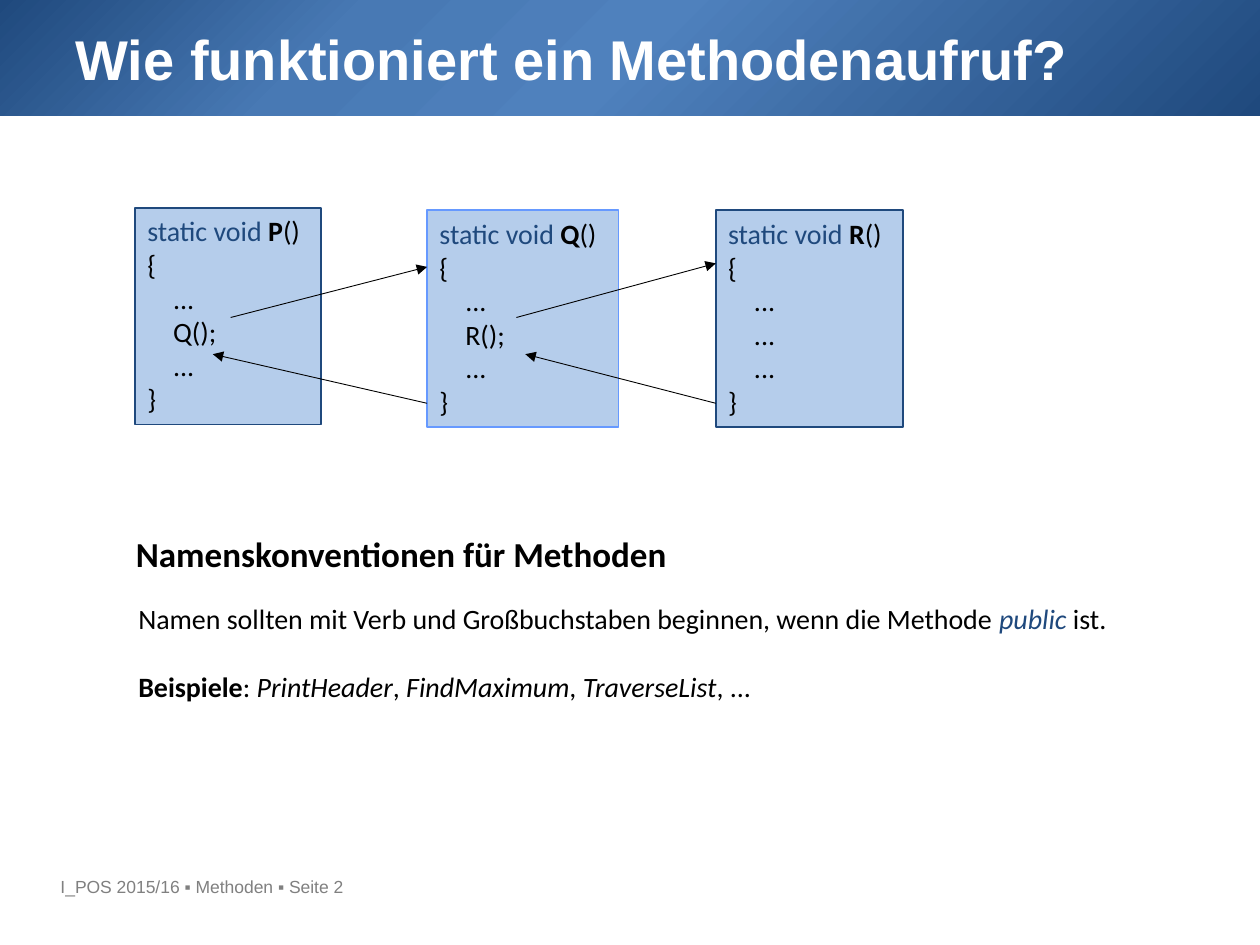
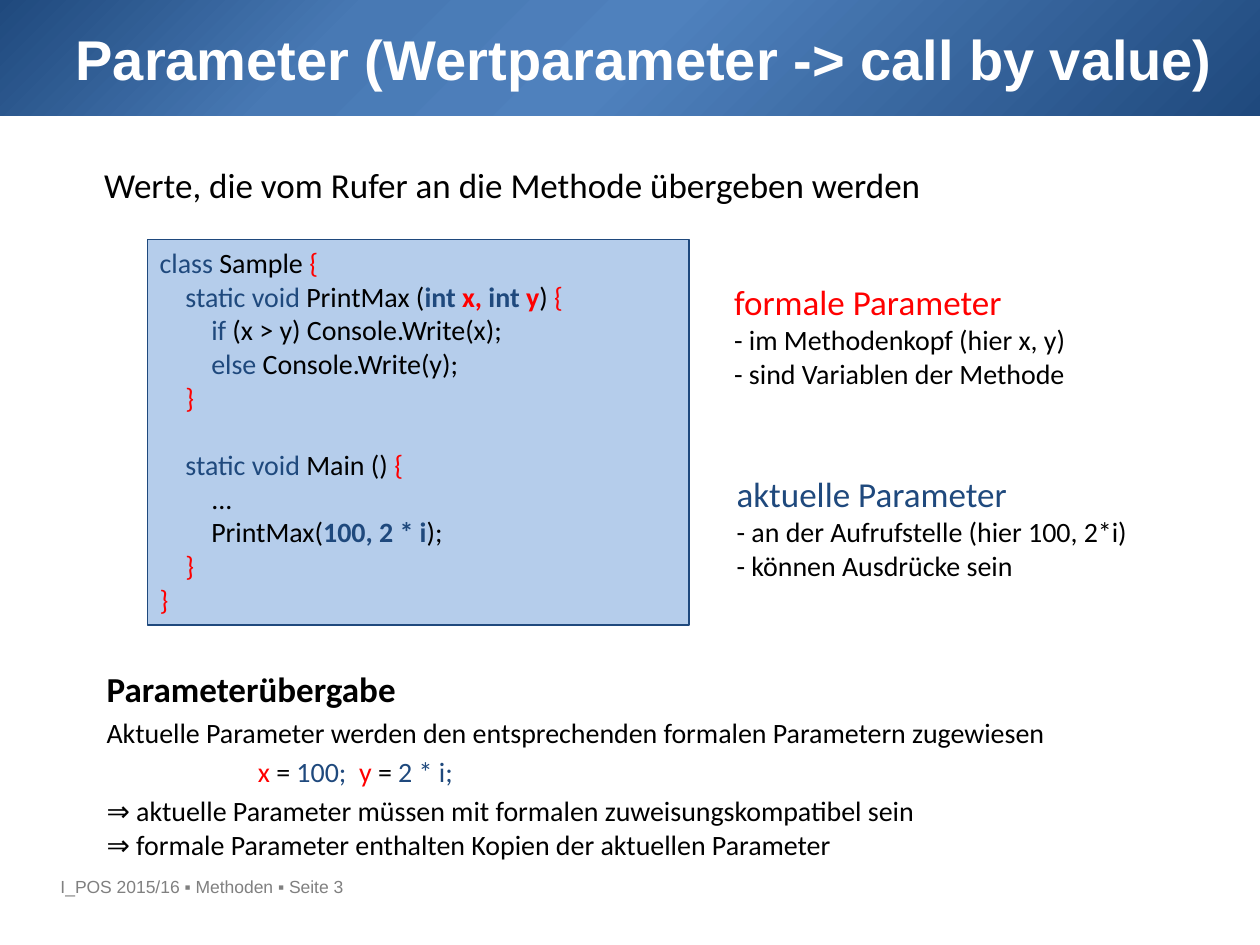
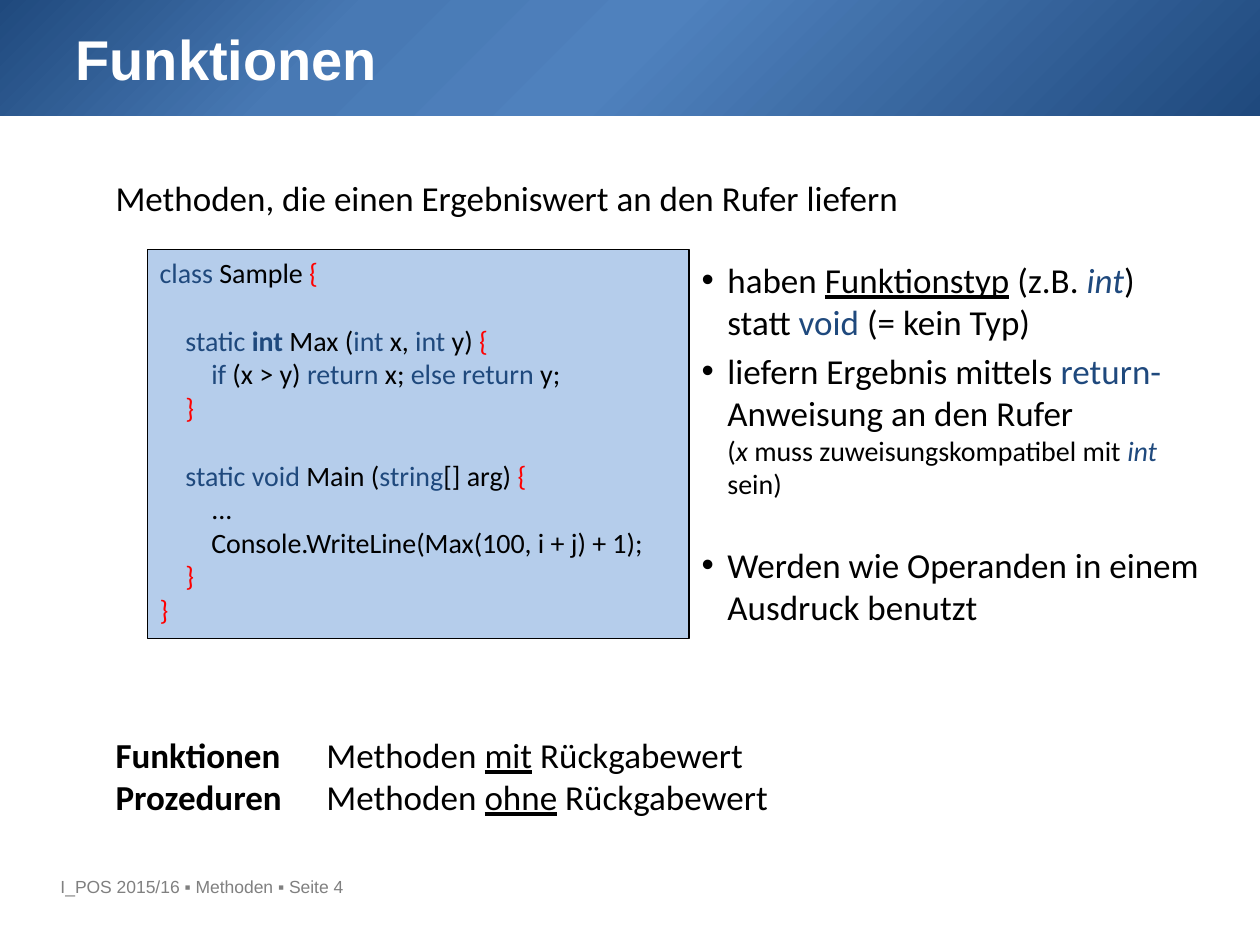
from copy import deepcopy

from lxml.etree import SubElement
from pptx import Presentation
from pptx.dml.color import RGBColor
from pptx.enum.shapes import MSO_CONNECTOR, MSO_SHAPE
from pptx.enum.text import MSO_ANCHOR, MSO_AUTO_SIZE, PP_ALIGN
from pptx.oxml.ns import qn
from pptx.util import Cm, Pt

# Shared colours and formats
BLUE = RGBColor(0x1F, 0x49, 0x7D)
LIGHT_BLUE = RGBColor(0xB5, 0xCD, 0xEB)
BRIGHT_BLUE = RGBColor(0x66, 0x99, 0xFF)
RED = RGBColor(0xFF, 0x00, 0x00)
BLACK = RGBColor(0x00, 0x00, 0x00)
WHITE = RGBColor(0xFF, 0xFF, 0xFF)
GREY = RGBColor(0x80, 0x80, 0x80)
BAND_STOPS = [(0, "1F497D"), (27, "4879B4"), (50, "4F81BD"), (100, "1F497D")]

# One letter per run format: k = keyword, r = red, L = large, ...
FLAGS = {
    "k": {"color": BLUE}, "r": {"color": RED},
    "w": {"color": WHITE}, "g": {"color": GREY},
    "b": {"bold": True}, "i": {"italic": True}, "u": {"underline": True},
    "L": {"size": Pt(20)},
}
CODE_TABS = (0.52, 1.04)
CODE_LINE = 19.5


def write(tf, paras, size=16, font="Calibri", tabs=(), gaps={}):
    """Fill a text frame; each paragraph is a list of (text, flags) runs."""
    tf.word_wrap = True
    tf.auto_size = MSO_AUTO_SIZE.NONE
    tf.vertical_anchor = MSO_ANCHOR.TOP
    for n, runs in enumerate(paras):
        p = tf.paragraphs[0] if n == 0 else tf.add_paragraph()
        if tabs:
            tab_list = SubElement(p._p.get_or_add_pPr(), qn("a:tabLst"))
            for pos in tabs:
                SubElement(tab_list, qn("a:tab"), pos=str(Cm(pos)), algn="l")
        p.alignment = PP_ALIGN.LEFT
        p.space_before = Pt(gaps.get(n, 0))
        for text, flags in runs:
            fmt = {"name": font, "size": Pt(size), "color": BLACK,
                   "bold": False, "italic": False, "underline": False}
            for flag in flags:
                fmt.update(FLAGS[flag])
            color = fmt.pop("color")
            for i, part in enumerate(text.split("\n")):
                if i:
                    p.add_line_break()
                if not part:
                    continue
                r = p.add_run()
                r.text = part
                for key, value in fmt.items():
                    setattr(r.font, key, value)
                r.font.color.rgb = color
                if i:
                    r._r.getprevious().append(deepcopy(r._r.rPr))


def box(s, x, y, w, h, line=None, width=1):
    """Add a text box, or a code panel if a line colour is given."""
    at = Cm(x), Cm(y), Cm(w), Cm(h)
    if line is None:
        return s.shapes.add_textbox(*at).text_frame
    sp = s.shapes.add_shape(MSO_SHAPE.RECTANGLE, *at)
    sp.shadow.inherit = False
    sp.fill.solid()
    sp.fill.fore_color.rgb = LIGHT_BLUE
    sp.line.color.rgb = line
    sp.line.width = Pt(width)
    return sp.text_frame


prs = Presentation()
prs.slide_width, prs.slide_height = Cm(25.4), Cm(19.05)
TITLE_AND_BODY, TITLE_ONLY = prs.slide_layouts[1], prs.slide_layouts[5]

# Band, title and footer of every slide
slides = []
for number, (title, layout, title_width) in enumerate([
    ("Wie funktioniert ein Methodenaufruf?", TITLE_ONLY, 22.86),
    ("Parameter (Wertparameter -> call by value)", TITLE_ONLY, 23.62),
    ("Funktionen", TITLE_AND_BODY, 22.86),
], start=2):
    s = prs.slides.add_slide(layout)
    slides.append(s)

    band = s.shapes.add_shape(MSO_SHAPE.RECTANGLE, 0, 0, prs.slide_width, Cm(2.34))
    band.shadow.inherit = False
    band.line.fill.background()
    band.fill.gradient()
    band.fill.gradient_angle = 315
    stops = band._element.spPr.find(qn("a:gradFill")).find(qn("a:gsLst"))
    for stop in list(stops):
        stops.remove(stop)
    for pos, color in BAND_STOPS:
        stop = SubElement(stops, qn("a:gs"), pos=str(pos * 1000))
        SubElement(stop, qn("a:srgbClr"), val=color)
    s.shapes._spTree.insert(2, band._element)

    sp = s.shapes.title
    sp.left, sp.top, sp.width, sp.height = Cm(1.27), Cm(0.36), Cm(title_width), Cm(3.18)
    write(sp.text_frame, [[(title, "wb")]], size=32, font="Arial")

    write(box(s, 0.97, 17.53, 9.52, 0.84),
          [[(f"I_POS 2015/16 ▪ Methoden ▪ Seite {number}", "g")]],
          size=10, font="Arial")

call_slide, param_slide, func_slide = slides

# Slide: method call, three methods calling each other
s = call_slide
for name, call, x, y, w, line in [
    ("P", "Q();", 2.72, 4.19, 3.76, BLUE),
    ("Q", "R();", 8.61, 4.24, 3.86, BRIGHT_BLUE),
    ("R", "...", 14.43, 4.24, 3.78, BLUE),
]:
    body = [[("\t" + text, "")] for text in ("...", call, "...")]
    write(box(s, x, y, w, 4.37, line),
          [[("static void ", "k"), (name, "b"), ("()", "")],
           [("{", "")], *body, [("}", "")]],
          tabs=CODE_TABS)

# Call and return arrows
for x1, y1, x2, y2 in [
    (4.65, 6.4, 8.61, 5.38), (8.61, 8.13, 4.29, 7.14),
    (10.41, 6.4, 14.43, 5.31), (14.43, 8.13, 10.59, 7.14),
]:
    arrow = s.shapes.add_connector(MSO_CONNECTOR.STRAIGHT, Cm(x1), Cm(y1), Cm(x2), Cm(y2))
    arrow.line.color.rgb = BLACK
    arrow.line.width = Pt(0.5)
    SubElement(arrow.line._get_or_add_ln(), qn("a:tailEnd"), type="triangle")
    SubElement(arrow._element.spPr, qn("a:effectLst"))

# Naming conventions
write(box(s, 2.49, 10.62, 11.3, 1.12), [[("Namenskonventionen für Methoden", "Lb")]])
write(box(s, 2.54, 12.01, 20.12, 2.31), [
    [("Namen sollten mit Verb und Großbuchstaben beginnen, wenn die Methode ", ""),
     ("public", "ki"), (" ist.", "")],
    [("Beispiele", "b"), (": ", ""), ("PrintHeader", "i"), (", ", ""),
     ("FindMaximum", "i"), (", ", ""), ("TraverseList", "i"), (", ...", "")],
], gaps={1: CODE_LINE})

# Slide: parameters
s = param_slide
write(box(s, 1.85, 3.18, 19.3, 1.09),
      [[("Werte, die vom Rufer an die Methode übergeben werden", "L")]])
write(box(s, 2.97, 4.83, 10.92, 7.77, BLUE, 0.75), [
    [("class ", "k"), ("Sample ", ""), ("{", "r")],
    [("\t", ""), ("static void ", "k"), ("PrintMax (", ""), ("int", "kb"),
     (" x, ", "rb"), ("int", "kb"), (" y", "rb"), (") ", ""), ("{", "r")],
    [("\t\t", ""), ("if", "k"), (" (x > y) Console.Write(x);", "")],
    [("\t\t", ""), ("else ", "k"), ("Console.Write(y);", "")],
    [("\t}", "r")],
    [("\t", ""), ("static void", "k"), (" Main () ", ""), ("{", "r")],
    [("\t\t...", "")],
    [("\t\tPrintMax(", ""), ("100, 2 * i", "kb"), (");", "")],
    [("\t}", "r")],
    [("}", "r")],
], tabs=CODE_TABS, gaps={5: CODE_LINE})

# Two kinds of parameters
for x, y, w, kind, flag, notes in [
    (14.55, 5.54, 7.26, "formale Parameter", "r",
     ("- im Methodenkopf (hier x, y)", "- sind Variablen der Methode")),
    (14.6, 9.4, 8.48, "aktuelle Parameter", "k",
     ("- an der Aufrufstelle (hier 100, 2*i)", "- können Ausdrücke sein")),
]:
    write(box(s, x, y, w, 2.49),
          [[(kind, "L" + flag)], *[[(note, "")] for note in notes]])

# Passing of parameters
tf = box(s, 1.9, 13.34, 19.68, 4.27)
write(tf, [
    [("Parameterübergabe", "Lb")],
    [("Aktuelle Parameter werden den entsprechenden formalen Parametern zugewiesen", "")],
    [("x ", "r"), ("=", ""), (" 100;  ", "k"), ("y ", "r"), ("=", ""), (" 2 * i;", "k")],
    [("⇒ aktuelle Parameter müssen mit formalen zuweisungskompatibel sein", "")],
    [("⇒ formale Parameter enthalten Kopien der aktuellen Parameter", "")],
], gaps={1: 3.2, 2: 3.2, 3: 3.2})
tf.paragraphs[2]._p.get_or_add_pPr().set("marL", str(Cm(3.05)))

# Slide: functions
s = func_slide
write(box(s, 2.08, 3.43, 16.43, 1.12),
      [[("Methoden, die einen Ergebniswert an den Rufer liefern", "L")]])
write(box(s, 2.97, 5.03, 10.92, 7.85, BLACK, 0.75), [
    [("class", "k"), (" Sample ", ""), ("{", "r")],
    [("\t", ""), ("static ", "k"), ("int", "kb"), (" Max (", ""), ("int", "k"),
     (" x, ", ""), ("int", "k"), (" y) ", ""), ("{", "r")],
    [("\t\t", ""), ("if", "k"), (" (x > y) ", ""), ("return ", "k"), ("x; ", ""),
     ("else return", "k"), (" y;", "")],
    [("\t}", "r")],
    [("\t", ""), ("static void", "k"), (" Main (", ""), ("string", "k"),
     ("[] arg) ", ""), ("{", "r")],
    [("\t\t...", "")],
    [("\t\tConsole.WriteLine(Max(100, i + j) + 1);", "")],
    [("\t}", "r")],
    [("}", "r")],
], tabs=CODE_TABS, gaps={1: CODE_LINE, 4: CODE_LINE})

# Properties of functions
sp = s.placeholders[1]
sp.left, sp.top, sp.width, sp.height = Cm(13.89), Cm(5.08), Cm(10.87), Cm(7.77)
write(sp.text_frame, [
    [("haben ", "L"), ("Funktionstyp", "Lu"), (" (z.B. ", "L"), ("int", "Lki"),
     (")\nstatt ", "L"), ("void", "Lk"), (" (= kein Typ)", "L")],
    [("liefern Ergebnis mittels ", "L"), ("return-", "Lk"),
     ("\nAnweisung an den Rufer", "L"), ("\n(", ""), ("x", "i"),
     (" muss zuweisungskompatibel mit ", ""), ("int", "ki"), (" sein)", "")],
    [("Werden wie Operanden in einem\nAusdruck benutzt", "L")],
], gaps={1: 4, 2: 24.4})
for p in sp.text_frame.paragraphs:
    pPr = p._p.get_or_add_pPr()
    pPr.set("marL", str(Cm(0.52)))
    pPr.set("indent", str(-Cm(0.52)))

# Functions and procedures
write(box(s, 2.08, 14.66, 13.79, 1.96), [
    [(term, "Lb"), ("\tMethoden ", "L"), (word, "Lu"), (" Rückgabewert", "L")]
    for term, word in [("Funktionen", "mit"), ("Prozeduren", "ohne")]
], tabs=(4.25,))

prs.save("out.pptx")
